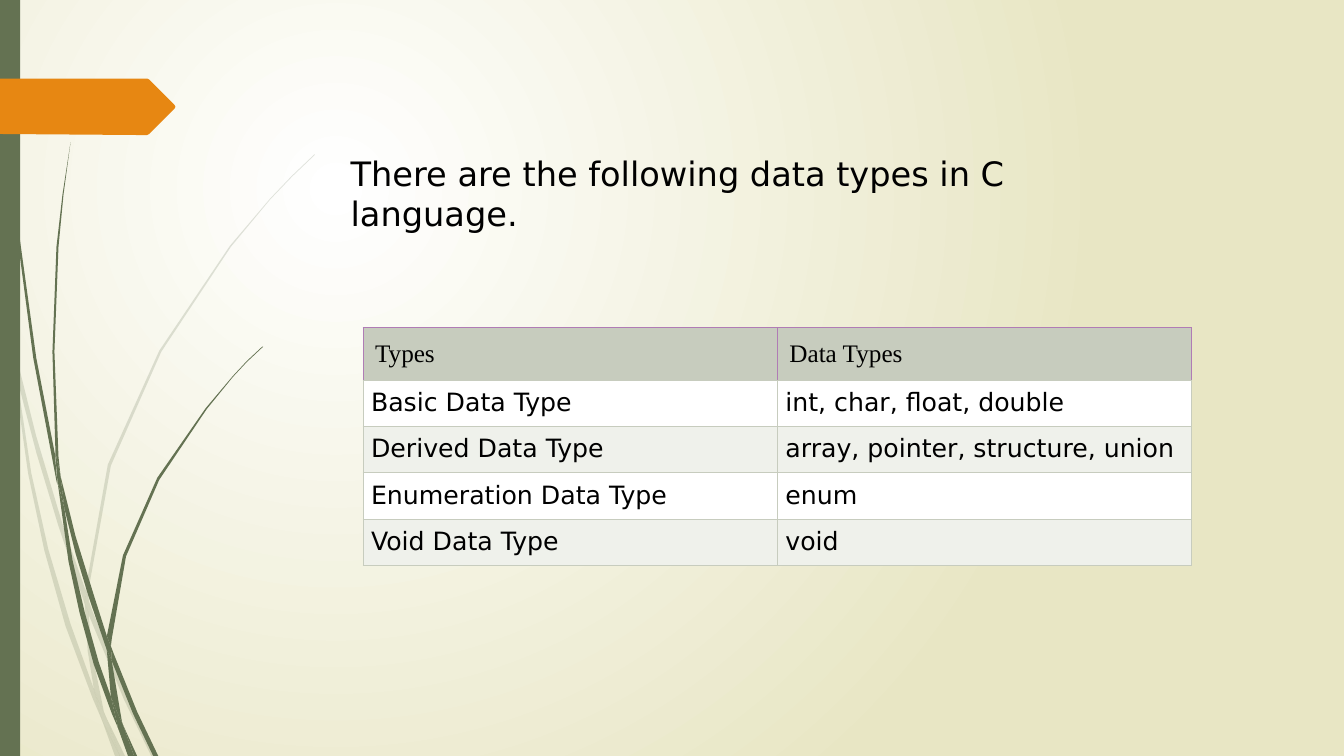
from lxml import etree
from pptx import Presentation
from pptx.dml.color import RGBColor
from pptx.enum.shapes import MSO_SHAPE
from pptx.enum.text import MSO_ANCHOR, MSO_AUTO_SIZE
from pptx.oxml import parse_xml
from pptx.oxml.ns import qn
from pptx.util import Inches, Pt

RECTANGLE = MSO_SHAPE.RECTANGLE
MIDDLE = MSO_ANCHOR.MIDDLE
GROW = MSO_AUTO_SIZE.SHAPE_TO_FIT_TEXT
DRAWING = 'xmlns:a="http://schemas.openxmlformats.org/drawingml/2006/main"'

COLUMNS, ROWS = 1333, 750
CELL = Inches(0.01)
COLORS = {
    "center": "FFFFFF", "edge": "E8E6C4", "green": "647252", "orange": "E78712",
    "header": "C7CCBE", "purple": "B07CB5", "plain": "FFFFFF", "band": "EFF1EB",
    "text": "000000",
}
TITLE_FONT = {"name": "DejaVu Sans", "size": Pt(24)}
HEADER_FONT = {"name": "Times New Roman", "size": Pt(18)}
BODY_FONT = {"name": "DejaVu Sans", "size": Pt(18)}

PALE_BLADES = [
    "11 350 9 322 0 282 0 299 10 344",
    "58 522 84 599 85 586 62 520 36 433 14 345 17 376 36 449",
    "92 607 88 596 88 610 123 694 150 750 155 750 127 692",
    "119 750 124 750 105 711",
    "93 683 70 619 48 545 31 469 17 376 11 350 28 470 44 546 65 621 92 693 101 714 99 707",
    "84 599 87 646 93 683 96 692 105 711 103 706 91 646 88 610 88 608",
    "88 584 110 462 160 349 229 245 268 198 290 175 312 154 312 153 289 175 268 197"
    " 228 244 158 348 107 461 85 584 85 586 88 596",
    "101 714 114 750 119 750",
    "88 608 88 610 88 596 85 586 84 599",
    "96 692 93 683 99 707 101 714 119 750 105 711",
]
DARK_BLADES = [
    "7 110 17 233 33 355 56 477 57 481 55 457 55 453 36 355 19 232 8 109 5 48 4 0 3 0 4 48",
    "88 592 106 645 106 633 106 631 93 590 75 532 60 472 64 505 75 549",
    "113 649 110 641 111 656 132 708 152 750 157 750 136 706",
    "110 691 98 657 84 607 72 556 64 505 57 477 68 557 79 608 93 659 111 708 117 722 116 717",
    "60 472 58 453 54 349 58 245 63 193 70 141 62 193 56 245 52 349 55 449",
    "133 750 136 750 122 719",
    "57 477 64 505 60 472 55 449 55 453",
    "111 633 125 552 158 476 205 406 231 374 245 359 261 344 260 344 245 358 231 373"
    " 204 405 156 474 122 551 106 631 110 641",
    "117 722 127 750 131 750",
    "106 645 110 691 116 706 122 719 121 716 111 656 109 651",
    "106 645 109 651 111 656 110 641 106 631 106 633",
    "116 706 110 691 116 717 117 722 130 750 133 750 122 719",
]
ARROW = "173 108 148 133 146 134 136 134 0 133 0 78 136 78 146 78 148 79 173 104 174 106"

DATA_TYPES = [
    ("Types", "Data Types"),
    ("Basic Data Type", "int, char, float, double"),
    ("Derived Data Type", "array, pointer, structure, union"),
    ("Enumeration Data Type", "enum"),
    ("Void Data Type", "void"),
]


class SlideBuilder:
    def __init__(self, presentation, colors):
        self.slide = presentation.slides.add_slide(presentation.slide_layouts[6])
        self.colors = colors

    def rgb(self, color):
        return RGBColor.from_string(self.colors[color])

    def apply(self, target, values):
        for name, value in values.items():
            setattr(target, name, value)

    def background(self, center, edge):
        fill = self.slide.background.fill
        fill.gradient()
        for stop, color, position in zip(fill.gradient_stops, (center, edge), (0, 1)):
            stop.color.rgb = self.rgb(color)
            stop.position = position
        linear = next(self.slide.element.iter(qn("a:lin")))
        linear.getparent().replace(linear, parse_xml(
            f'<a:path {DRAWING} path="circle">'
            '<a:fillToRect l="50000" t="50000" r="100000" b="100000"/></a:path>'))

    def paint(self, shape, color, opacity):
        shape.shadow.inherit = False
        shape.fill.solid()
        shape.fill.fore_color.rgb = self.rgb(color)
        shape.line.fill.background()
        if opacity < 100:
            tone = next(shape.element.spPr.iter(qn("a:srgbClr")))
            etree.SubElement(tone, qn("a:alpha"), val=str(opacity * 1000))

    def outline(self, points, color, opacity=100):
        numbers = [int(number) for number in points.split()]
        start, *others = zip(numbers[::2], numbers[1::2])
        builder = self.slide.shapes.build_freeform(*start, scale=CELL)
        builder.add_line_segments(others, close=True)
        self.paint(builder.convert_to_shape(), color, opacity)

    def rectangle(self, box, color):
        shape = self.slide.shapes.add_shape(RECTANGLE, *(CELL * value for value in box))
        self.paint(shape, color, 100)

    def add_text(self, paragraph, text, font):
        run = paragraph.add_run()
        run.text = text
        self.apply(run.font, font)
        run.font.color.rgb = self.rgb("text")

    def text_box(self, box, text, font):
        shape = self.slide.shapes.add_textbox(*(CELL * value for value in box))
        frame = shape.text_frame
        self.apply(frame, {"word_wrap": True, "auto_size": GROW, "vertical_anchor": MIDDLE})
        self.add_text(frame.paragraphs[0], text, font)

    def borders(self, cell, sides):
        properties = cell._tc.get_or_add_tcPr()
        for index, (side, color) in enumerate(sides.items()):
            properties.insert(index, parse_xml(
                f'<a:ln{side} {DRAWING} w="{Pt(0.75)}"><a:solidFill>'
                f'<a:srgbClr val="{self.colors[color]}"/></a:solidFill></a:ln{side}>'))

    def table(self, left, top, column_width, header_height, row_height, records):
        width = column_width * len(records[0])
        height = header_height + row_height * (len(records) - 1)
        table = self.slide.shapes.add_table(
            len(records), len(records[0]),
            *(CELL * value for value in (left, top, width, height))).table
        self.apply(table, {"first_row": False, "horz_banding": False})
        for row_index, record in enumerate(records):
            header = row_index == 0
            table.rows[row_index].height = CELL * (header_height if header else row_height)
            color = "header" if header else ("band", "plain")[row_index % 2]
            sides = dict.fromkeys("LRT", "purple" if header else "header") | {"B": "header"}
            margin = CELL * (12 if header else 8)
            for column_index, text in enumerate(record):
                cell = table.cell(row_index, column_index)
                self.apply(cell, {f"margin_{side}": margin
                                  for side in ("left", "right", "top", "bottom")})
                cell.fill.solid()
                cell.fill.fore_color.rgb = self.rgb(color)
                self.borders(cell, sides)
                self.add_text(cell.text_frame.paragraphs[0], text,
                              HEADER_FONT if header else BODY_FONT)


def main():
    presentation = Presentation()
    presentation.slide_width = CELL * COLUMNS
    presentation.slide_height = CELL * ROWS
    builder = SlideBuilder(presentation, COLORS)
    builder.background("center", "edge")
    for blades, opacity in ((PALE_BLADES, 20), (DARK_BLADES, 100)):
        for blade in blades:
            builder.outline(blade, "green", opacity)
    builder.rectangle((0, 0, 20, ROWS), "green")
    builder.outline(ARROW, "orange")
    builder.table(360, 325, 411, 52, 46, DATA_TYPES)
    builder.text_box((338, 146, 790, 91),
                     "There are the following data types in C language.", TITLE_FONT)
    presentation.save("out.pptx")


if __name__ == "__main__":
    main()
